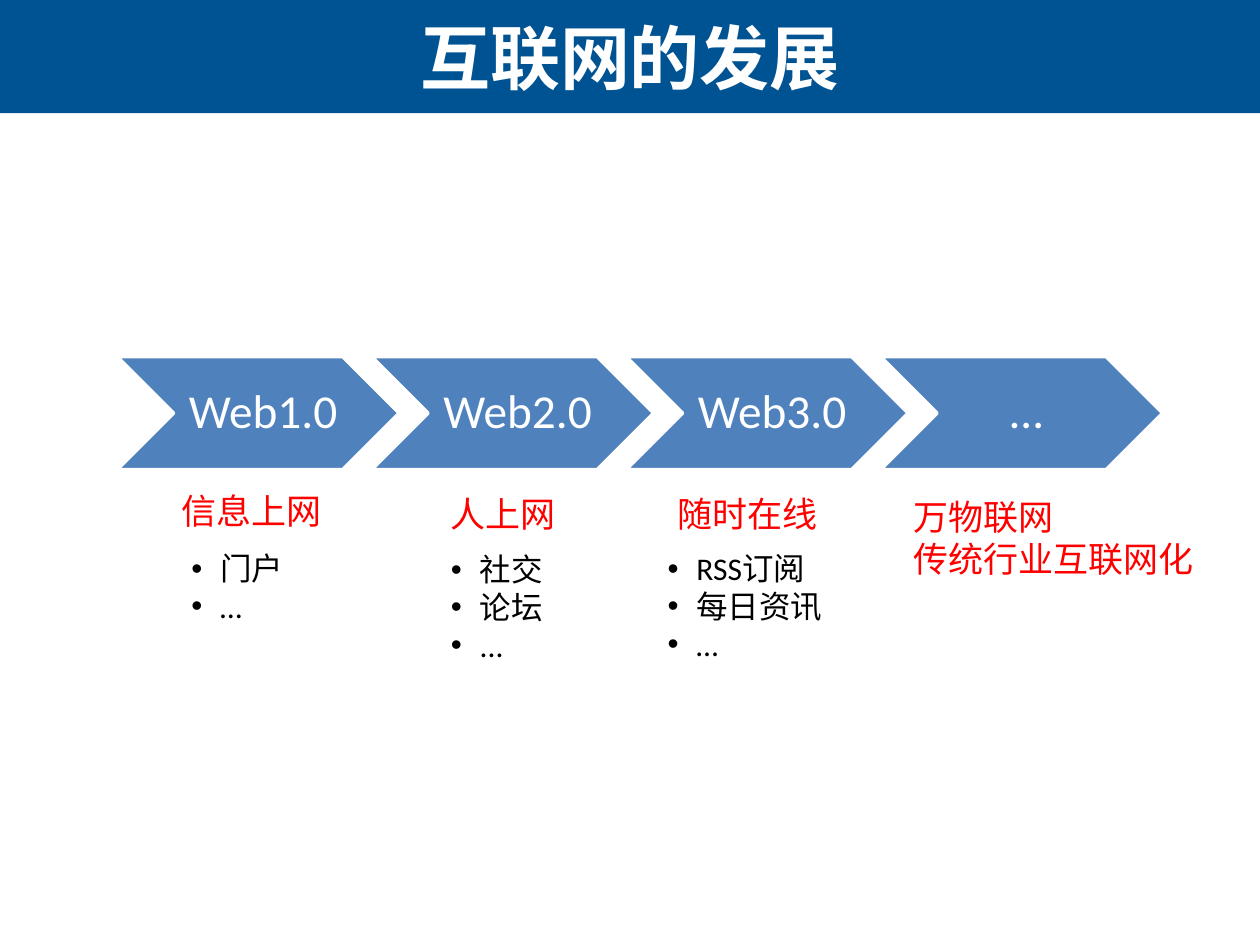
"""Build a slide on the stages of the internet's development."""
from lxml.etree import SubElement
from pptx import Presentation
from pptx.dml.color import RGBColor
from pptx.enum.shapes import MSO_SHAPE
from pptx.enum.text import MSO_ANCHOR, MSO_AUTO_SIZE, PP_ALIGN
from pptx.oxml.ns import qn
from pptx.util import Cm, Pt

COLORS = {"bar": "005392", "chevron": "4F81BD", "label": "FF0000",
          "text": "000000", "white": "FFFFFF"}


class SlideBuilder:
    heading_font = "Arial"
    body_font = "Calibri"

    def __init__(self, deck):
        self.page = deck.slides.add_slide(deck.slide_layouts[5])

    def color(self, name):
        return RGBColor.from_string(COLORS[name])

    def add_span(self, para, text, size, color, font, bold=False):
        span = para.add_run()
        span.text = text
        span.font.size = Pt(size)
        span.font.name = font
        span.font.bold = bold
        span.font.color.rgb = self.color(color)

    def add_shape(self, kind, left, top, width, height, fill):
        shape = self.page.shapes.add_shape(
            kind, Cm(left), Cm(top), Cm(width), Cm(height))
        shape.shadow.inherit = False
        shape.fill.solid()
        shape.fill.fore_color.rgb = self.color(fill)
        shape.line.fill.background()
        return shape

    def add_title(self, text, width, height):
        bar = self.add_shape(MSO_SHAPE.RECTANGLE, 0, 0, width, height, "bar")
        title = self.page.shapes.title
        bar._element.addnext(title._element)
        title.left, title.top = Cm(0), Cm(0)
        title.width, title.height = Cm(width), Cm(height)
        frame = title.text_frame
        frame.vertical_anchor = MSO_ANCHOR.MIDDLE
        para = frame.paragraphs[0]
        para.alignment = PP_ALIGN.CENTER
        self.add_span(para, text, 40, "white", self.heading_font, True)

    def add_chevron(self, text, left, top, width, height):
        chevron = self.add_shape(
            MSO_SHAPE.CHEVRON, left, top, width, height, "chevron")
        chevron.line.color.rgb = self.color("white")
        chevron.line.width = Pt(2)
        frame = chevron.text_frame
        frame.vertical_anchor = MSO_ANCHOR.MIDDLE
        frame.margin_left = Cm(0.3)
        frame.margin_right = frame.margin_top = frame.margin_bottom = Cm(0.1)
        para = frame.paragraphs[0]
        para.alignment = PP_ALIGN.CENTER
        para.line_spacing = 0.9
        self.add_span(para, text, 27, "white", self.body_font)

    def add_lines(self, lines, left, top, width, height, size, color, font,
                  bulleted=False):
        box = self.page.shapes.add_textbox(
            Cm(left), Cm(top), Cm(width), Cm(height))
        frame = box.text_frame
        frame.word_wrap = False
        frame.auto_size = MSO_AUTO_SIZE.SHAPE_TO_FIT_TEXT
        for index, line in enumerate(lines):
            para = frame.add_paragraph() if index else frame.paragraphs[0]
            if bulleted:
                self.add_bullet(para)
            self.add_span(para, line, size, color, font)

    def add_bullet(self, para):
        indent = Cm(0.58)
        properties = para._p.get_or_add_pPr()
        properties.set("marL", str(indent))
        properties.set("indent", str(-indent))
        SubElement(properties, qn("a:buFont")).set("typeface", "Arial")
        SubElement(properties, qn("a:buChar")).set("char", "•")

    def add_label(self, lines, left, top, width, height):
        self.add_lines(lines, left, top, width, height, 20, "label",
                       self.heading_font)

    def add_bullets(self, lines, left, top, width, height):
        self.add_lines(lines, left, top, width, height, 18, "text",
                       self.body_font, True)


deck = Presentation()
deck.slide_width, deck.slide_height = Cm(25.4), Cm(19.05)
builder = SlideBuilder(deck)
builder.add_title("互联网的发展", 25.4, 2.28)

for index, stage in enumerate(["Web1.0", "Web2.0", "Web3.0", "…"]):
    builder.add_chevron(stage, 2.36 + 5.13 * index, 7.19, 5.69, 2.28)

labels = [
    (["信息上网"], 3.4, 9.75, 3.35, 1.12),
    (["人上网"], 8.84, 9.8, 2.64, 1.12),
    (["随时在线"], 13.41, 9.8, 3.35, 1.12),
    (["万物联网", "传统行业互联网化"], 18.16, 9.86, 6.22, 1.96),
]
for label in labels:
    builder.add_label(*label)

examples = [
    (["门户", "…"], 3.61, 10.95, 2.39, 1.8),
    (["社交", "论坛", "..."], 8.84, 10.97, 2.39, 2.57),
    (["RSS订阅", "每日资讯", "…"], 13.21, 10.95, 3.68, 2.57),
]
for example in examples:
    builder.add_bullets(*example)

deck.save("out.pptx")
